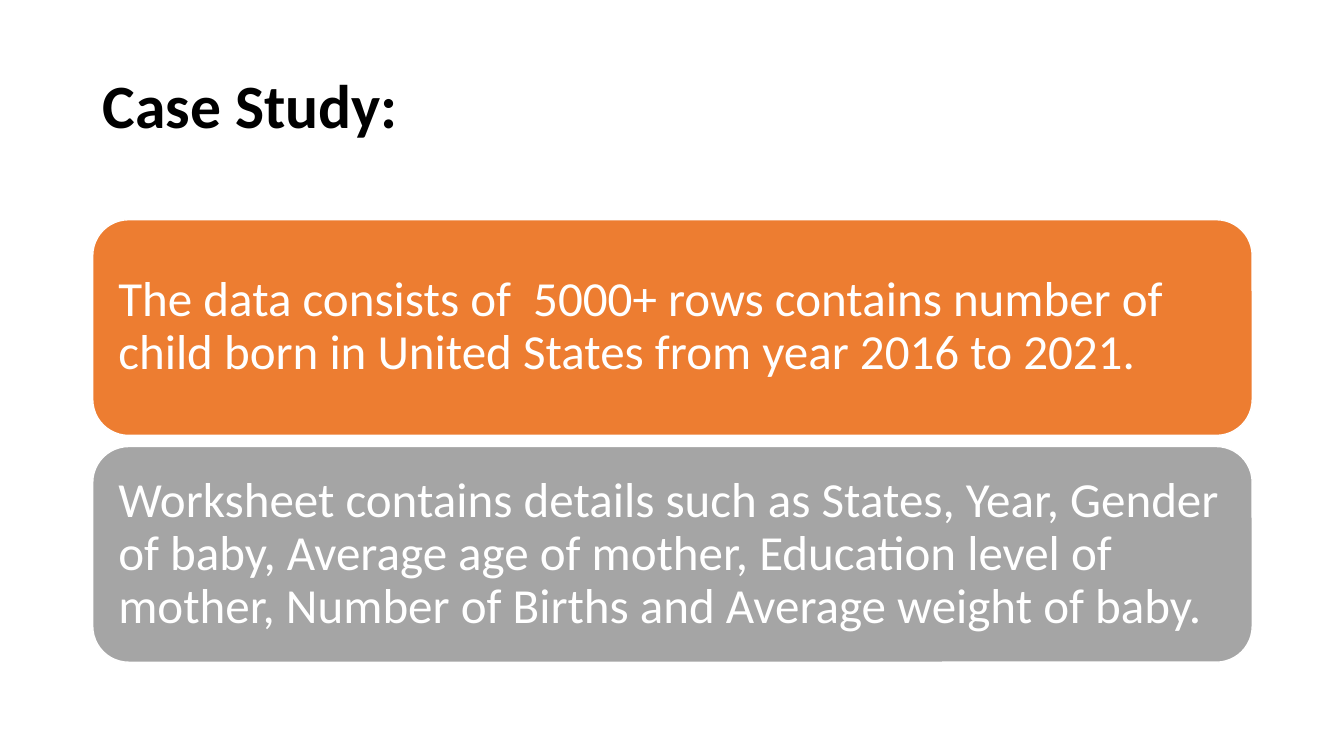
from dataclasses import dataclass

import pptx
import pptx.dml.color
import pptx.enum.shapes
import pptx.enum.text
import pptx.util

Inches = pptx.util.Inches


@dataclass(frozen=True)
class Theme:
    """Colours, font and type sizes of the slide."""
    font: str = "Calibri"
    ink: str = "000000"
    paper: str = "FFFFFF"
    orange: str = "ED7D31"
    gray: str = "A5A5A5"
    title_size: int = 44
    card_size: int = 35
    line_spacing: float = 0.9


class SlideBuilder:
    """Adds styled elements to the current slide."""

    def __init__(self, slide, theme):
        """Keep the slide and its theme."""
        self.slide = slide
        self.theme = theme

    def color(self, value):
        """Turn a hex string into a colour."""
        return pptx.dml.color.RGBColor.from_string(value)

    def set_text(self, frame, text, size, color, margin, bold=False):
        """Fill a text frame with left-aligned, vertically centred text."""
        frame.text = text
        frame.word_wrap = True
        frame.vertical_anchor = pptx.enum.text.MSO_ANCHOR.MIDDLE
        frame.margin_left = frame.margin_right = Inches(margin)
        frame.margin_top = frame.margin_bottom = Inches(margin)
        for paragraph in frame.paragraphs:
            paragraph.alignment = pptx.enum.text.PP_ALIGN.LEFT
            paragraph.line_spacing = self.theme.line_spacing
            for run in paragraph.runs:
                run.font.name = self.theme.font
                run.font.size = pptx.util.Pt(size)
                run.font.bold = bold
                run.font.color.rgb = self.color(color)

    def title(self, text, left, top, width, height):
        """Add the bold heading."""
        heading = self.slide.shapes.add_textbox(
            Inches(left), Inches(top), Inches(width), Inches(height))
        self.set_text(heading.text_frame, text, self.theme.title_size,
                      self.theme.ink, margin=0.1, bold=True)

    def card(self, text, fill, left, top, width, height):
        """Add a rounded card that carries its own text."""
        card = self.slide.shapes.add_shape(
            pptx.enum.shapes.MSO_SHAPE.ROUNDED_RECTANGLE,
            Inches(left), Inches(top), Inches(width), Inches(height))
        card.shadow.inherit = False
        card.fill.solid()
        card.fill.fore_color.rgb = self.color(fill)
        card.line.color.rgb = self.color(self.theme.paper)
        card.line.width = pptx.util.Pt(1)
        self.set_text(card.text_frame, text, self.theme.card_size,
                      self.theme.paper, margin=0.15)


def main():
    """Build and save the case study slide."""
    deck = pptx.Presentation()
    deck.slide_width, deck.slide_height = Inches(13.33), Inches(7.5)
    theme = Theme()
    builder = SlideBuilder(deck.slides.add_slide(deck.slide_layouts[6]), theme)

    left, width = 0.92, 11.5
    builder.title("Case Study:", left, 0.35, width, 1.45)

    cards_top, card_height, card_gap = 2.18, 2.14, 0.11
    facts = [
        ("The data consists of  5000+ rows contains number of child born in "
         "United States from year 2016 to 2021.", theme.orange),
        ("Worksheet contains details such as States, Year, Gender of baby, "
         "Average age of mother, Education level of mother, Number of Births "
         "and Average weight of baby.", theme.gray),
    ]
    for row, (fact, fill) in enumerate(facts):
        top = cards_top + row * (card_height + card_gap)
        builder.card(fact, fill, left, top, width, card_height)

    deck.save("out.pptx")


main()
